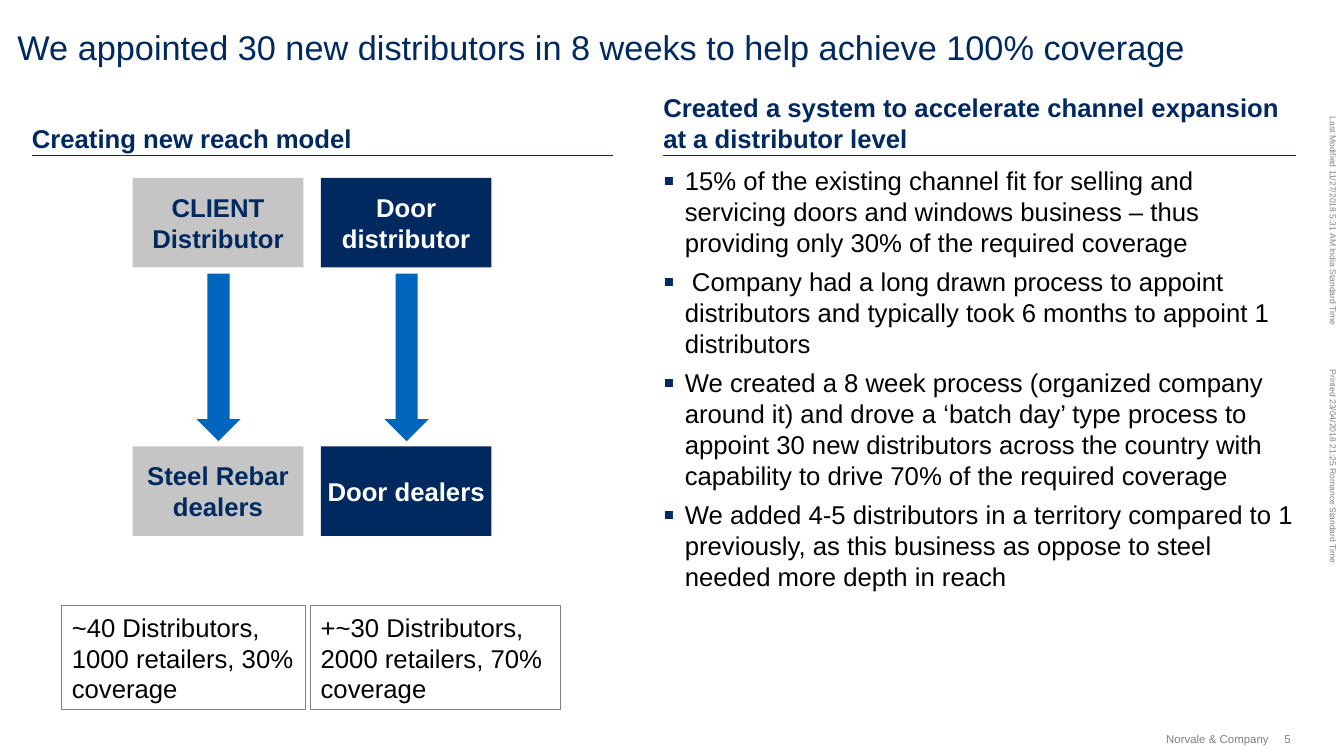
from lxml.etree import SubElement
from pptx import Presentation
from pptx.dml.color import RGBColor
from pptx.enum.shapes import MSO_CONNECTOR as Connector, MSO_SHAPE as Preset
from pptx.enum.text import MSO_ANCHOR as Anchor, MSO_AUTO_SIZE as AutoSize, PP_ALIGN as Align
from pptx.oxml.ns import qn
from pptx.util import Inches, Pt

NAVY = RGBColor(0x00, 0x29, 0x60)
BLUE = RGBColor(0x00, 0x65, 0xBD)
SILVER = RGBColor(0xC5, 0xC5, 0xC5)
GRAY = RGBColor(0x80, 0x80, 0x80)
WHITE = RGBColor(0xFF, 0xFF, 0xFF)
BLACK = RGBColor(0x00, 0x00, 0x00)


def write(shape, paragraphs, size, color, bold=False, align=Align.LEFT,
          anchor=Anchor.TOP, margins=(0, 0), wrap=True, bullet=None):
    frame = shape.text_frame
    side, top = (Inches(margin) for margin in margins)
    frame_format = {"word_wrap": wrap, "auto_size": AutoSize.NONE, "vertical_anchor": anchor,
                    "margin_left": side, "margin_right": side,
                    "margin_top": top, "margin_bottom": top}
    for name, value in frame_format.items():
        setattr(frame, name, value)
    frame.text = "\n".join(paragraphs)
    for index, paragraph in enumerate(frame.paragraphs):
        paragraph.alignment = align
        paragraph.space_before = Pt(6 if index else 0)
        if bullet:
            properties = paragraph._p.get_or_add_pPr()
            properties.set("marL", str(Inches(0.21)))
            properties.set("indent", str(Inches(-0.21)))
            bullet_color = SubElement(properties, qn("a:buClr"))
            SubElement(bullet_color, qn("a:srgbClr"), val=str(NAVY))
            SubElement(properties, qn("a:buSzPct"), val="125000")
            SubElement(properties, qn("a:buFont"), typeface="Arial")
            SubElement(properties, qn("a:buChar"), char=bullet)
        for name, value in {"name": "Arial", "size": Pt(size), "bold": bold}.items():
            setattr(paragraph.font, name, value)
        paragraph.font.color.rgb = color


def add_filled(preset, box, fill, line=None):
    shape = slide.shapes.add_shape(preset, *map(Inches, box))
    shape.shadow.inherit = False
    shape.fill.solid()
    shape.fill.fore_color.rgb = fill
    if line is None:
        shape.line.fill.background()
    else:
        shape.line.color.rgb = line
        shape.line.width = Pt(0.75)
    return shape


presentation = Presentation()
presentation.slide_width = Inches(13.07)
presentation.slide_height = Inches(7.35)
slide = presentation.slides.add_slide(presentation.slide_layouts[1])

title, body = slide.placeholders
placeholder_boxes = [(title, (0.17, 0.25, 12.57, 0.4)), (body, (6.45, 1.6, 6.16, 4.19))]
for placeholder, box in placeholder_boxes:
    for name, value in zip(("left", "top", "width", "height"), box):
        setattr(placeholder, name, Inches(value))

write(title, ["We appointed 30 new distributors in 8 weeks to help achieve 100% coverage"], 24, NAVY)
write(body, [
    "15% of the existing channel fit for selling and servicing doors and windows business "
    "– thus providing only 30% of the required coverage",
    " Company had a long drawn process to appoint distributors and typically took 6 months "
    "to appoint 1 distributors",
    "We created a 8 week process (organized company around it) and drove a ‘batch day’ type "
    "process to appoint 30 new distributors across the country with capability to drive 70% "
    "of the required coverage",
    "We added 4-5 distributors in a territory compared to 1 previously, as this business as "
    "oppose to steel needed more depth in reach",
], 18, BLACK, bullet="▪")

headings = [
    ("Creating new reach model", 0.31, 5.65, 5.65),
    ("Created a system to accelerate channel expansion at a distributor level", 6.45, 6.01, 6.15),
]
for text, left, width, rule_width in headings:
    heading = slide.shapes.add_textbox(Inches(left), Inches(0.88), Inches(width), Inches(0.61))
    write(heading, [text], 18, NAVY, bold=True, anchor=Anchor.BOTTOM)
    rule = slide.shapes.add_connector(Connector.STRAIGHT, Inches(left), Inches(1.51),
                                      Inches(left + rule_width), Inches(1.51))
    rule.line.color.rgb = NAVY
    rule.line.width = Pt(0.75)
    SubElement(rule._element.spPr, qn("a:effectLst"))

channels = [
    (1.29, SILVER, NAVY, "CLIENT Distributor", "Steel Rebar dealers"),
    (3.12, NAVY, WHITE, "Door distributor", "Door dealers"),
]
for left, fill, color, distributor, dealers in channels:
    for text, top in ((distributor, 1.73), (dealers, 4.34)):
        channel_box = add_filled(Preset.RECTANGLE, (left, top, 1.66, 0.87), fill)
        write(channel_box, [text], 18, color, bold=True, align=Align.CENTER,
              anchor=Anchor.MIDDLE, margins=(0.04, 0.04))
    add_filled(Preset.DOWN_ARROW, (left + 0.62, 2.66, 0.43, 1.63), BLUE)

reach_notes = [
    ("~40 Distributors, 1000 retailers, 30% coverage", 0.6, 2.37),
    ("+~30 Distributors, 2000 retailers, 70% coverage", 3.02, 2.43),
]
for text, left, width in reach_notes:
    note = add_filled(Preset.RECTANGLE, (left, 5.89, width, 1.01), WHITE, GRAY)
    write(note, [text], 18, BLACK, anchor=Anchor.MIDDLE, margins=(0.1, 0.05))

small_prints = [
    ("Last Modified 11/27/2018 5:31 AM India Standard Time", (11.93, 2.12, 2.07, 0.1), 6, 90, Align.LEFT),
    ("Printed 23/04/2018 21:25 Romance Standard Time", (12.01, 4.5, 1.91, 0.1), 6, 90, Align.LEFT),
    ("Norvale & Company", (11.23, 7.12, 1.11, 0.13), 8, 0, Align.RIGHT),
    ("5", (12.49, 7.12, 0.14, 0.13), 8, 0, Align.LEFT),
]
for text, box, size, rotation, align in small_prints:
    small_print = slide.shapes.add_textbox(*map(Inches, box))
    small_print.rotation = rotation
    write(small_print, [text], size, GRAY, align=align, anchor=Anchor.MIDDLE, wrap=False)

presentation.save("out.pptx")
